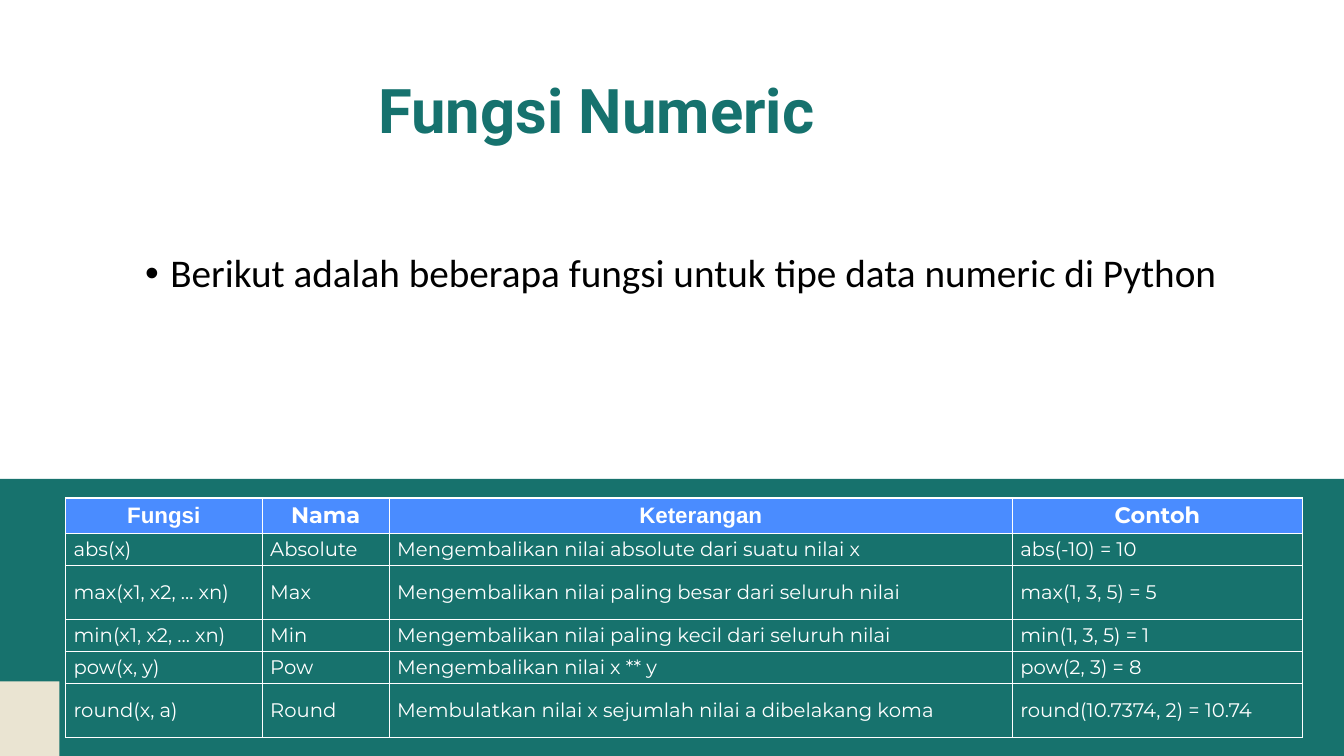
"""Build the slide on Python numeric functions."""
from dataclasses import dataclass

from lxml.etree import SubElement
from pptx import Presentation
from pptx.dml.color import RGBColor
from pptx.enum.shapes import MSO_SHAPE
from pptx.enum.text import MSO_ANCHOR, MSO_AUTO_SIZE, PP_ALIGN
from pptx.oxml.ns import qn
from pptx.util import Inches, Pt

TITLE = "Fungsi Numeric"
INTRO = "Berikut adalah beberapa fungsi untuk tipe data numeric di Python"
HEADERS = [("Fungsi", "Arial"), ("Nama", "Montserrat"),
           ("Keterangan", "Arial"), ("Contoh", "Montserrat")]
FUNCTIONS = [
    ("abs(x)", "Absolute", "Mengembalikan nilai absolute dari suatu nilai x", "abs(-10) = 10"),
    ("max(x1, x2, ... xn)", "Max", "Mengembalikan nilai paling besar dari seluruh nilai",
     "max(1, 3, 5) = 5"),
    ("min(x1, x2, ... xn)", "Min", "Mengembalikan nilai paling kecil dari seluruh nilai",
     "min(1, 3, 5) = 1"),
    ("pow(x, y)", "Pow", "Mengembalikan nilai x ** y", "pow(2, 3) = 8"),
    ("round(x, a)", "Round", "Membulatkan nilai x sejumlah nilai a dibelakang koma",
     "round(10.7374, 2) = 10.74"),
]
COL_WIDTHS = [1.95, 1.26, 6.18, 2.88]
ROW_HEIGHTS = [0.34, 0.31, 0.54, 0.31, 0.31, 0.54]
TABLE_LEFT, TABLE_TOP = 0.65, 4.94
SLIDE_W, SLIDE_H = 13.33, 7.5
BAND_LEFT = -0.12


@dataclass(frozen=True)
class Theme:
    """Colours, fonts and type sizes."""
    band: str = "17726D"
    corner: str = "EAE4D2"
    title: str = "16726E"
    text: str = "000000"
    header: str = "4A8CFF"
    white: str = "FFFFFF"
    title_font: str = "Roboto"
    body_font: str = "Calibri"
    cell_font: str = "Montserrat"
    title_size: int = 44
    body_size: int = 28
    header_size: int = 16
    cell_size: int = 14


T = Theme()


def add_run(p, text, font, size, color, bold=False):
    """Add one formatted run."""
    r = p.add_run()
    r.text = text
    r.font.name, r.font.size, r.font.bold = font, Pt(size), bold
    r.font.color.rgb = RGBColor.from_string(color)


def place(sp, left, top, width, height, anchor):
    """Move a placeholder and return its first paragraph."""
    sp.left, sp.top, sp.width, sp.height = map(Inches, (left, top, width, height))
    tf = sp.text_frame
    tf.word_wrap, tf.auto_size, tf.vertical_anchor = True, MSO_AUTO_SIZE.NONE, anchor
    p = tf.paragraphs[0]
    p.alignment, p.line_spacing = PP_ALIGN.LEFT, 0.9
    return p


def add_band(s, top, right, color):
    """Add a block behind the title, reaching the bottom edge."""
    sp = s.shapes.add_shape(MSO_SHAPE.RECTANGLE, Inches(BAND_LEFT), Inches(top),
                            Inches(right - BAND_LEFT), Inches(SLIDE_H - top))
    sp.shadow.inherit = False
    sp.fill.solid()
    sp.fill.fore_color.rgb = RGBColor.from_string(color)
    sp.line.fill.background()
    s.shapes.title.element.addprevious(sp.element)


def add_borders(cell):
    """Draw a thin white line on each side of a cell."""
    tc_pr = cell._tc.get_or_add_tcPr()
    for side in ("a:lnL", "a:lnR", "a:lnT", "a:lnB"):
        ln = SubElement(tc_pr, qn(side), w=str(Pt(1)))
        fill = SubElement(ln, qn("a:solidFill"))
        SubElement(fill, qn("a:srgbClr"), val=T.white)


def fill_cell(cell, text, font, is_header):
    """Write and format one table cell."""
    cell.margin_left = cell.margin_right = Inches(0.08)
    cell.margin_top = cell.margin_bottom = Inches(0.04)
    cell.vertical_anchor = MSO_ANCHOR.MIDDLE
    add_borders(cell)
    if is_header:
        cell.fill.solid()
        cell.fill.fore_color.rgb = RGBColor.from_string(T.header)
    else:
        cell.fill.background()
    p = cell.text_frame.paragraphs[0]
    p.alignment = PP_ALIGN.CENTER if is_header else PP_ALIGN.LEFT
    add_run(p, text, font, T.header_size if is_header else T.cell_size, T.white, is_header)


def add_function_table(s):
    """Add the table of numeric functions."""
    rows = [HEADERS] + [[(text, T.cell_font) for text in row] for row in FUNCTIONS]
    table = s.shapes.add_table(len(rows), len(HEADERS), Inches(TABLE_LEFT), Inches(TABLE_TOP),
                               Inches(sum(COL_WIDTHS)), Inches(sum(ROW_HEIGHTS))).table
    table.horz_banding = False
    for col, width in zip(table.columns, COL_WIDTHS):
        col.width = Inches(width)
    for i, (row, height) in enumerate(zip(rows, ROW_HEIGHTS)):
        table.rows[i].height = Inches(height)
        for j, (text, font) in enumerate(row):
            fill_cell(table.cell(i, j), text, font, i == 0)


def main():
    """Build and save the slide."""
    prs = Presentation()
    prs.slide_width, prs.slide_height = Inches(SLIDE_W), Inches(SLIDE_H)
    s = prs.slides.add_slide(prs.slide_layouts[1])
    add_band(s, 4.75, SLIDE_W, T.band)
    add_band(s, 6.76, 0.59, T.corner)

    p = place(s.shapes.title, 3.65, 0.4, 6.6, 1.45, MSO_ANCHOR.MIDDLE)
    add_run(p, TITLE, T.title_font, T.title_size, T.title, True)

    p = place(s.placeholders[1], 1.34, 2.47, 11.22, 2.64, MSO_ANCHOR.TOP)
    p.space_before = Pt(10)
    p_pr = p._p.get_or_add_pPr()
    p_pr.set("marL", str(Inches(0.25)))
    p_pr.set("indent", str(Inches(-0.25)))
    SubElement(p_pr, qn("a:buFont"), typeface="Arial")
    SubElement(p_pr, qn("a:buChar"), char="•")
    add_run(p, INTRO, T.body_font, T.body_size, T.text)

    add_function_table(s)
    prs.save("out.pptx")


if __name__ == "__main__":
    main()
